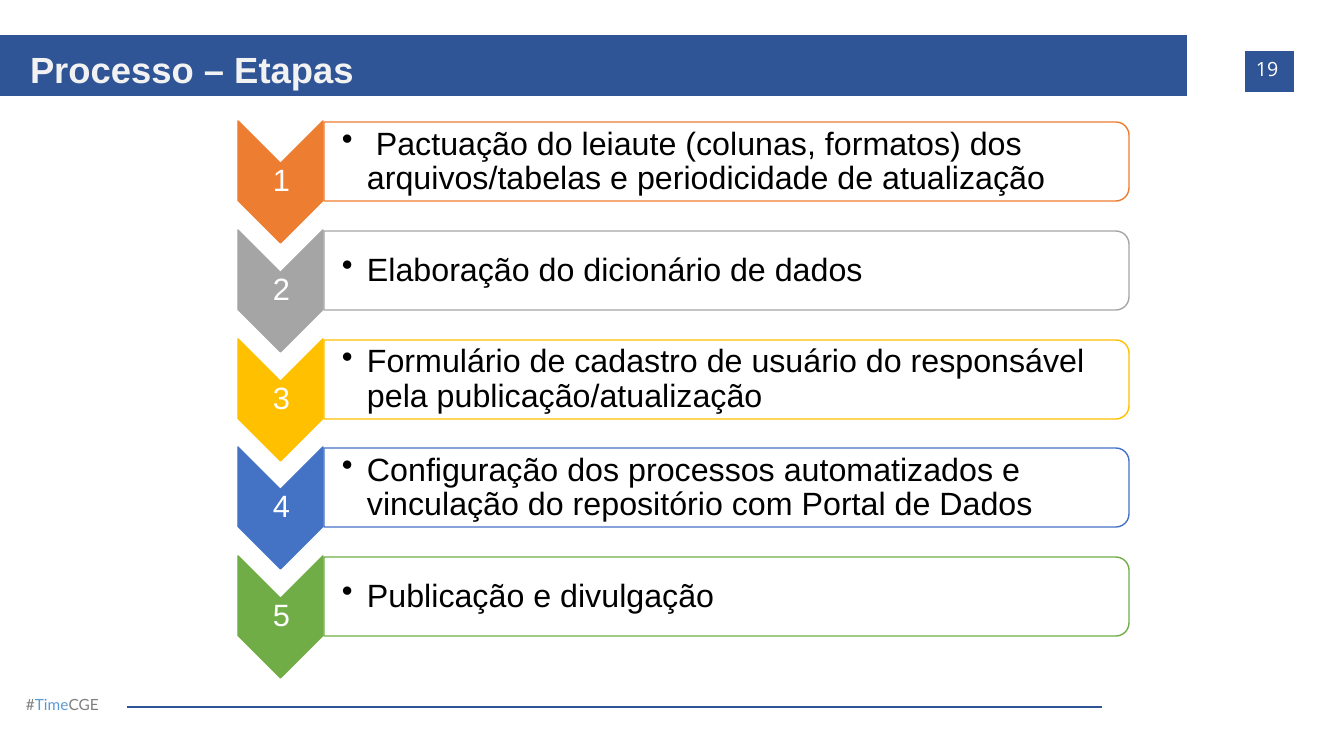
import pptx
import pptx.dml.color
import pptx.enum.shapes
import pptx.enum.text
import pptx.oxml
import pptx.oxml.ns
import pptx.util
from lxml import etree

RGBColor = pptx.dml.color.RGBColor
SHAPE = pptx.enum.shapes.MSO_SHAPE
ANCHOR = pptx.enum.text.MSO_ANCHOR
ALIGN = pptx.enum.text.PP_ALIGN
qn = pptx.oxml.ns.qn

PX = 914400 / 100.8
NAVY = RGBColor(0x2F, 0x55, 0x97)
WHITE = RGBColor(0xFF, 0xFF, 0xFF)
OFF_WHITE = RGBColor(0xF2, 0xF2, 0xF2)
BLACK = RGBColor(0x00, 0x00, 0x00)
GREY = RGBColor(0x7F, 0x7F, 0x7F)
SKY = RGBColor(0x5B, 0x9B, 0xD5)
ORANGE = RGBColor(0xED, 0x7D, 0x31)
SILVER = RGBColor(0xA5, 0xA5, 0xA5)
GOLD = RGBColor(0xFF, 0xC0, 0x00)
BLUE = RGBColor(0x44, 0x72, 0xC4)
GREEN = RGBColor(0x70, 0xAD, 0x47)

presentation = pptx.Presentation()
presentation.slide_width = round(1344 * PX)
presentation.slide_height = round(756 * PX)
slide = presentation.slides.add_slide(presentation.slide_layouts[6])


def add_block(kind, left, top, width, height, fill, line=None, line_pt=1, turned=False):
    """Place a filled shape by its visible box; turned shapes are rotated by 90°."""
    if turned:
        left, top = left + (width - height) / 2, top + (height - width) / 2
        width, height = height, width
    block = slide.shapes.add_shape(kind, *(round(v * PX) for v in (left, top, width, height)))
    block.rotation = 90 if turned else 0
    block.shadow.inherit = False
    block.fill.solid()
    block.fill.fore_color.rgb = fill
    if line is None:
        block.line.fill.background()
    else:
        block.line.color.rgb = line
        block.line.width = pptx.util.Pt(line_pt)
    return block


def write(holder, text, font, size, color, anchor, insets, align=ALIGN.LEFT, spacing=1.0):
    """Fill a shape or text box with one paragraph and return that paragraph."""
    frame = holder.text_frame
    frame.word_wrap = True
    frame.vertical_anchor = anchor
    frame.margin_left, frame.margin_top, frame.margin_right, frame.margin_bottom = (
        round(v * PX) for v in insets)
    frame.text = text
    paragraph = frame.paragraphs[0]
    paragraph.alignment = align
    paragraph.line_spacing = spacing
    run_font = paragraph.runs[0].font
    run_font.name = font
    run_font.size = pptx.util.Pt(size)
    run_font.color.rgb = color
    return paragraph


# Footer tag and rule
tag = slide.shapes.add_textbox(*(round(v * PX) for v in (16, 690, 107, 29)))
tag_line = write(tag, "#", "Lato", 11, GREY, ANCHOR.TOP, (10, 5, 10, 5))
for word, color in (("Time", SKY), ("CGE", GREY)):
    part = tag_line.add_run()
    part.text = word
    part.font.name = "Lato"
    part.font.size = pptx.util.Pt(11)
    part.font.color.rgb = color

footer_rule = slide.shapes.add_connector(
    pptx.enum.shapes.MSO_CONNECTOR.STRAIGHT,
    *(round(v * PX) for v in (127, 707, 1102, 707)))
footer_rule.line.color.rgb = NAVY
footer_rule.line.width = pptx.util.Pt(0.75)
etree.SubElement(footer_rule._element.spPr, qn("a:effectLst"))

# Process steps
steps = [
    (ORANGE, " Pactuação do leiaute (colunas, formatos) dos arquivos/tabelas "
             "e periodicidade de atualização"),
    (SILVER, "Elaboração do dicionário de dados"),
    (GOLD, "Formulário de cadastro de usuário do responsável pela publicação/atualização"),
    (BLUE, "Configuração dos processos automatizados e vinculação do repositório "
           "com Portal de Dados"),
    (GREEN, "Publicação e divulgação"),
]
FIRST_TOP, LAST_TOP = 121, 556
for index, (color, description) in enumerate(steps):
    top = FIRST_TOP + round((LAST_TOP - FIRST_TOP) * index / (len(steps) - 1))

    # Numbered chevron
    add_block(SHAPE.CHEVRON, 238, top, 85, 122, color, color, turned=True)
    number = slide.shapes.add_textbox(*(round(v * PX) for v in (239, top + 43, 85, 36)))
    write(number, str(index + 1), "Arial", 22, WHITE, ANCHOR.MIDDLE, (2, 2, 2, 2),
          ALIGN.CENTER, 0.9)

    # Description panel, rounded on the right
    panel = add_block(SHAPE.ROUND_2_SAME_RECTANGLE, 324, top + 1, 805, 79, WHITE, color,
                      turned=True)
    panel_color = panel.fill._xPr.find(qn("a:solidFill"))[0]
    etree.SubElement(panel_color, qn("a:alpha"), val="90000")
    label = slide.shapes.add_textbox(*(round(v * PX) for v in (324, top + 5, 801, 72)))
    bullet_line = write(label, description, "Arial", 23, BLACK, ANCHOR.MIDDLE,
                        (18, 2, 2, 2), spacing=0.9)
    properties = bullet_line._p.get_or_add_pPr()
    properties.set("marL", str(round(25 * PX)))
    properties.set("indent", str(round(-25 * PX)))
    etree.SubElement(properties, qn("a:buChar"), char="•")

# Title band
band = add_block(SHAPE.RECTANGLE, 0, 35, 1187, 61, NAVY)
title = write(band, "Processo – Etapas", "Arial", 26, OFF_WHITE, ANCHOR.BOTTOM,
              (30, 5, 10, 5), spacing=0.9)
title.runs[0].font.bold = True

# Page number
page = add_block(SHAPE.RECTANGLE, 1246, 52, 48, 40, NAVY, NAVY, 0.75)
write(page, "19", "Open Sans", 14, WHITE, ANCHOR.TOP, (10, 5, 10, 5))

presentation.save("out.pptx")
